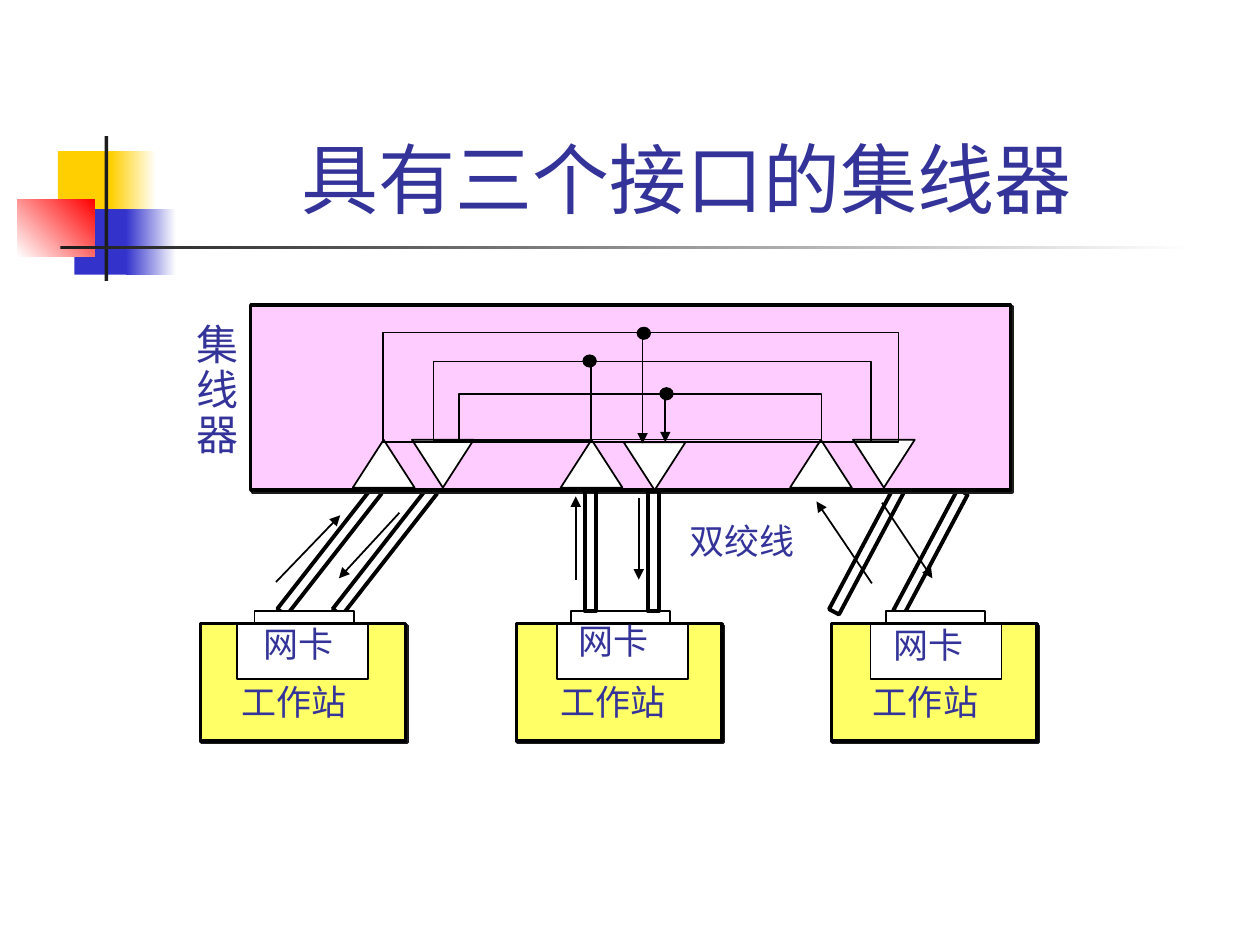
"""Build a slide showing a three-port hub wired to three workstations."""
from pptx import Presentation
from pptx.dml.color import RGBColor
from pptx.enum.shapes import MSO_CONNECTOR, MSO_SHAPE as SHAPE
from pptx.enum.text import MSO_ANCHOR as ANCHOR, MSO_AUTO_SIZE as AUTO_SIZE, PP_ALIGN as ALIGN
from pptx.oxml import parse_xml
from pptx.oxml.ns import nsdecls, qn
from pptx.util import Inches, Pt

COLORS = {
    "black": "000000", "white": "FFFFFF", "charcoal": "1C1C1C",
    "gold": "FFCF01", "blue": "3333CC", "red": "FF0000",
    "text": "333399", "hub": "FFCCFF", "station": "FFFF66",
}
RGB = {name: RGBColor.from_string(value) for name, value in COLORS.items()}

presentation = Presentation()
presentation.slide_width, presentation.slide_height = Inches(10), Inches(7.5)
slide = presentation.slides.add_slide(presentation.slide_layouts[5])


def add_box(left, top, width, height, kind=SHAPE.RECTANGLE, fill=None,
            gradient=None, angle=0, line=None, rotation=0, shadow=False):
    shape = slide.shapes.add_shape(
        kind, Inches(left), Inches(top), Inches(width), Inches(height))
    shape.rotation = rotation
    if gradient:
        shape.fill.gradient()
        shape.fill.gradient_angle = angle
        for stop, color in zip(shape.fill.gradient_stops, gradient):
            stop.color.rgb = RGB[color]
    elif fill:
        shape.fill.solid()
        shape.fill.fore_color.rgb = RGB[fill]
    else:
        shape.fill.background()
    if line:
        shape.line.color.rgb = RGB["black"]
        shape.line.width = Pt(line)
    else:
        shape.line.fill.background()
    shape.shadow.inherit = False
    if shadow:
        effects = shape._element.spPr.find(qn("a:effectLst"))
        effects.append(parse_xml(
            f'<a:outerShdw {nsdecls("a")} dist="{Pt(1.4)}" dir="2700000" '
            f'algn="ctr" rotWithShape="0"><a:srgbClr val="{COLORS["charcoal"]}"/>'
            '</a:outerShdw>'))


def add_text(text, left, top, width, height, shape=None, size=20,
             font="Times New Roman", align=ALIGN.LEFT, anchor=ANCHOR.TOP,
             spacing=1.0, wrap=False, auto_size=AUTO_SIZE.SHAPE_TO_FIT_TEXT):
    shape = shape or slide.shapes.add_textbox(0, 0, 0, 0)
    shape.left, shape.top = Inches(left), Inches(top)
    shape.width, shape.height = Inches(width), Inches(height)
    frame = shape.text_frame
    frame.text = text
    frame.word_wrap = wrap
    frame.auto_size = auto_size
    frame.vertical_anchor = anchor
    for paragraph in frame.paragraphs:
        paragraph.alignment = align
        paragraph.line_spacing = spacing
        for run in paragraph.runs:
            run.font.size = Pt(size)
            run.font.name = font
            run.font.color.rgb = RGB["text"]


add_box(0.46, 1.2, 0.48, 0.52, fill="gold")
add_box(0.88, 1.2, 0.36, 0.52, gradient=("gold", "white"))
add_box(0.59, 1.66, 0.46, 0.52, fill="blue")
add_box(1, 1.66, 0.4, 0.52, gradient=("blue", "white"))
add_box(0.14, 1.58, 0.61, 0.46, gradient=("white", "red"), angle=45)
add_box(0.83, 1.08, 0.03, 1.15, fill="charcoal")
add_box(0.48, 1.95, 9, 0.03, gradient=("charcoal", "white"))

title = slide.shapes.title
slide.shapes._spTree.append(title._element)
add_text("具有三个接口的集线器 ", 1.26, 0.23, 8.52, 1.6, shape=title, size=44,
         font="Arial", align=ALIGN.CENTER, anchor=ANCHOR.BOTTOM, wrap=True,
         auto_size=AUTO_SIZE.NONE)

for left, top, length, rotation in (
        (2, 4.33, 1.23, 308), (2.44, 4.33, 1.23, 308),
        (6.33, 4.33, 1.09, 298), (6.84, 4.34, 1.09, 298)):
    add_box(left, top, length, 0.09, line=2.25, rotation=rotation)

add_box(1.99, 2.42, 6.03, 1.47, fill="hub", line=2, shadow=True)
for left, top, rotation in (
        (2.8, 3.49, 0), (6.27, 3.49, 0), (4.45, 3.49, 0),
        (6.77, 3.49, 180), (3.27, 3.49, 180), (4.95, 3.51, 180)):
    add_box(left, top, 0.49, 0.38, kind=SHAPE.ISOSCELES_TRIANGLE,
            fill="white", line=1, rotation=rotation)

for left, top, width, height in (
        (3.64, 3.13, 2.88, 0.36), (4.69, 2.87, 2.22, 0.64),
        (3.44, 2.87, 1.25, 0.63), (3.04, 2.64, 4.09, 0.87)):
    add_box(left, top, width, height, line=1)

add_text("集\n线\n器", 1.46, 2.52, 0.53, 1.18, size=24, spacing=0.9)

for left, card_left, label_left, label_top, name_left, plug_left in (
        (4.1, 4.42, 4.49, 4.87, 4.35, 4.53),
        (1.59, 1.88, 1.99, 4.89, 1.82, 2.02),
        (6.6, 6.91, 6.99, 4.9, 6.83, 7.03)):
    add_box(left, 4.95, 1.63, 0.93, fill="station", line=2, shadow=True)
    add_box(card_left, 4.95, 1.04, 0.44, fill="white", line=1)
    add_text("网卡", label_left, label_top, 0.76, 0.43)
    add_text("工作站", name_left, 5.35, 1.05, 0.43)
    add_box(plug_left, 4.85, 0.79, 0.09, fill="white", line=1)

for left, top in ((4.63, 2.82), (5.06, 2.6), (5.24, 3.08)):
    add_box(left, top, 0.1, 0.09, kind=SHAPE.OVAL, fill="black", line=1)

for points in (
        (5.28, 3.14, 5.28, 3.51), (5.1, 2.66, 5.1, 3.52),
        (4.57, 4.6, 4.57, 3.94), (5.07, 3.95, 5.07, 4.6),
        (2.19, 4.62, 2.7, 4.09), (3.17, 4.07, 2.69, 4.59),
        (6.92, 4.63, 6.48, 3.98), (7, 3.99, 7.4, 4.59)):
    arrow = slide.shapes.add_connector(
        MSO_CONNECTOR.STRAIGHT, *(Inches(value) for value in points))
    arrow.line.color.rgb = RGB["black"]
    arrow.line.width = Pt(1)
    arrow.line._get_or_add_ln().append(
        parse_xml(f'<a:tailEnd {nsdecls("a")} type="triangle"/>'))
    arrow._element.spPr.append(parse_xml(f'<a:effectLst {nsdecls("a")}/>'))

add_text("双绞线", 5.37, 4.07, 1.05, 0.43)
for left in (4.71, 4.21):
    add_box(left, 4.33, 0.95, 0.09, line=2.25, rotation=270)

presentation.save("out.pptx")
